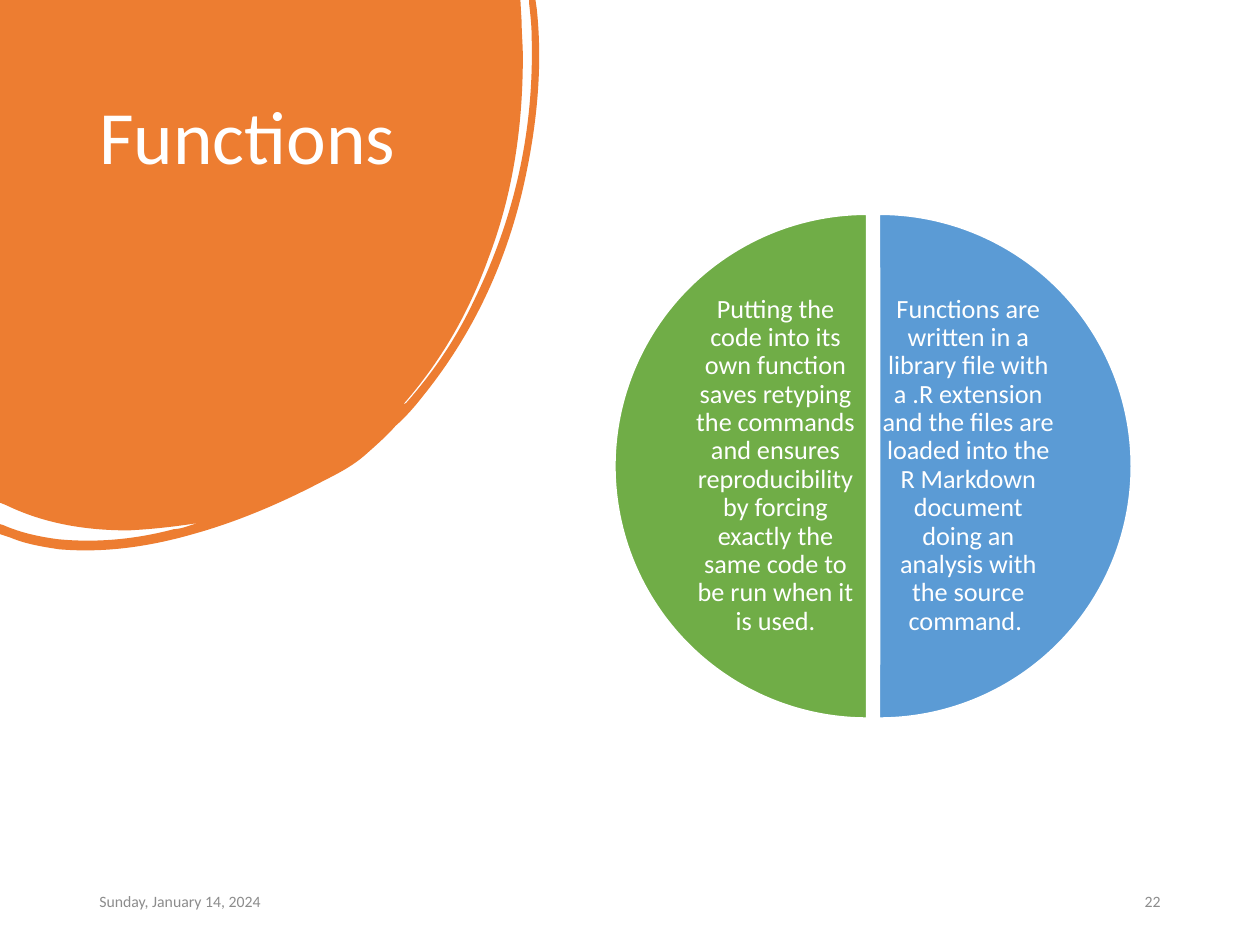
from lxml.etree import SubElement
from pptx import Presentation
from pptx.dml.color import RGBColor
from pptx.enum.shapes import MSO_SHAPE
from pptx.enum.text import MSO_ANCHOR, PP_ALIGN
from pptx.oxml.ns import qn
from pptx.util import Inches, Pt

ORANGE = RGBColor(0xED, 0x7D, 0x31)
GREEN = RGBColor(0x70, 0xAD, 0x47)
BLUE = RGBColor(0x5B, 0x9B, 0xD5)
WHITE = RGBColor(0xFF, 0xFF, 0xFF)
GRAY = RGBColor(0x8C, 0x8C, 0x8C)

deck = Presentation()
deck.slide_width, deck.slide_height = Inches(10), Inches(7.5)
slide = deck.slides.add_slide(deck.slide_layouts[6])
shapes = slide.shapes

# Square grid: 10 columns by 7.5 rows
CELL = deck.slide_width / 10


def grid(*cells):
    return [round(n * CELL) for n in cells]


def add_text(words, box, size, color, align=PP_ALIGN.LEFT,
             anchor=MSO_ANCHOR.MIDDLE, inset=None, line=1.0, after=0):
    frame = shapes.add_textbox(*grid(*box)).text_frame
    frame.word_wrap = True
    frame.vertical_anchor = anchor
    if inset is not None:
        frame.margin_left = frame.margin_right = round(inset * CELL)
        frame.margin_top = frame.margin_bottom = round(inset * CELL)
    para = frame.paragraphs[0]
    para.text = words
    para.alignment = align
    para.line_spacing = line
    para.space_after = Pt(after)
    para.font.name = "Calibri"
    para.font.size = Pt(size)
    para.font.color.rgb = color


# Orange blob: pairs are straight lines, sixes are cubic curves
BLOB = [
    (4.13, 0), (4.14, 0.17),
    (4.14, 0.26, 4.15, 0.36, 4.15, 0.45),
    (4.15, 1.01, 4.07, 1.54, 3.88, 2.04),
    (3.72, 2.49, 3.49, 2.88, 3.2, 3.21),
    (3.22, 3.21, 3.23, 3.19, 3.24, 3.18),
    (3.44, 2.95, 3.62, 2.69, 3.76, 2.39),
    (4.07, 1.76, 4.24, 1.07, 4.22, 0.3),
    (4.22, 0.21, 4.21, 0.12, 4.2, 0.03),
    (4.2, 0), (4.25, 0), (4.26, 0.07),
    (4.31, 0.54, 4.26, 1.02, 4.15, 1.5),
    (4, 2.14, 3.73, 2.68, 3.36, 3.14),
    (3.29, 3.23, 3.22, 3.31, 3.14, 3.38),
    (3.07, 3.46, 2.99, 3.53, 2.9, 3.61),
    (2.81, 3.69, 2.7, 3.75, 2.58, 3.81),
    (2.24, 3.99, 1.89, 4.14, 1.53, 4.24),
    (1.18, 4.34, 0.83, 4.39, 0.47, 4.36),
    (0.34, 4.34, 0.21, 4.32, 0.09, 4.27),
    (0, 4.24), (0, 4.16), (0.03, 4.17),
    (0.17, 4.23, 0.31, 4.26, 0.46, 4.28),
    (0.77, 4.31, 1.08, 4.28, 1.38, 4.2),
    (1.41, 4.2, 1.45, 4.19, 1.48, 4.18),
    (1.51, 4.17, 1.54, 4.16, 1.58, 4.15),
    (1.39, 4.18, 1.21, 4.2, 1.02, 4.21),
    (0.69, 4.21, 0.36, 4.16, 0.05, 4.01),
    (0, 3.99),
]
wide, high = grid(4.28, 4.37)
pen = shapes.build_freeform(0, 0)
pen.add_line_segments([(wide, 0), (wide, high), (0, high)], close=True)
blob = pen.convert_to_shape()
blob.shadow.inherit = False
blob.fill.solid()
blob.fill.fore_color.rgb = ORANGE
blob.line.fill.background()

# Swap the frame of the blob for its curved outline
trace = blob._element.find(".//" + qn("a:path"))
for node in list(trace):
    trace.remove(node)
for spot, part in enumerate([(0, 0)] + BLOB):
    kind = "cubicBezTo" if len(part) == 6 else "lnTo" if spot else "moveTo"
    move = SubElement(trace, qn("a:" + kind))
    nums = grid(*part)
    for x, y in zip(nums[::2], nums[1::2]):
        SubElement(move, qn("a:pt"), x=str(x), y=str(y))
SubElement(trace, qn("a:close"))

# Title
add_text("Functions", (0.69, 0.74, 2.64, 2.22), 43, WHITE,
         anchor=MSO_ANCHOR.TOP, line=0.9)

# Footer: date and page number
add_text("Sunday, January 14, 2024", (0.69, 6.95, 2.25, 0.4), 9, GRAY, after=6)
add_text("22", (7.06, 6.95, 2.25, 0.4), 9, GRAY, PP_ALIGN.RIGHT, after=6)

# Half circles: left edge, start and end angle, colour, text edge, words
UP, DOWN = 162, 54
HALVES = [
    (4.98, UP, DOWN, BLUE, 6.98,
     "Functions are written in a library file with a .R extension and the "
     "files are loaded into the R Markdown document doing an analysis with "
     "the source command. "),
    (4.88, DOWN, UP, GREEN, 5.45,
     "Putting the code into its own function saves retyping the commands "
     "and ensures reproducibility by forcing exactly the same code to be "
     "run when it is used."),
]
for left, start, end, color, edge, words in HALVES:
    half = shapes.add_shape(MSO_SHAPE.PIE, *grid(left, 1.7, 4, 4))
    half.adjustments[0] = start
    half.adjustments[1] = end
    half.shadow.inherit = False
    half.fill.solid()
    half.fill.fore_color.rgb = color
    half.line.color.rgb = WHITE
    half.line.width = Pt(1)
    add_text(words, (edge, 2.29, 1.41, 2.81), 15, WHITE, PP_ALIGN.CENTER,
             inset=0.02, line=0.9, after=5)

deck.save("out.pptx")
